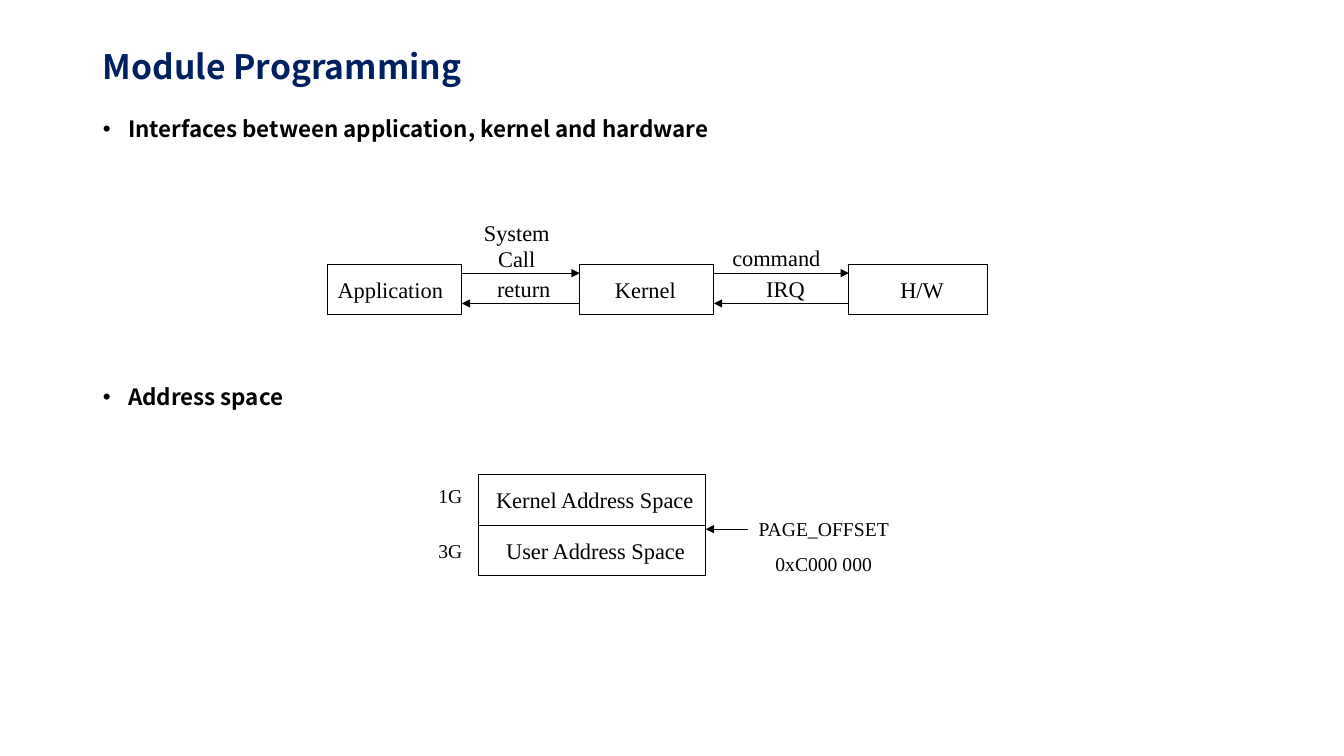
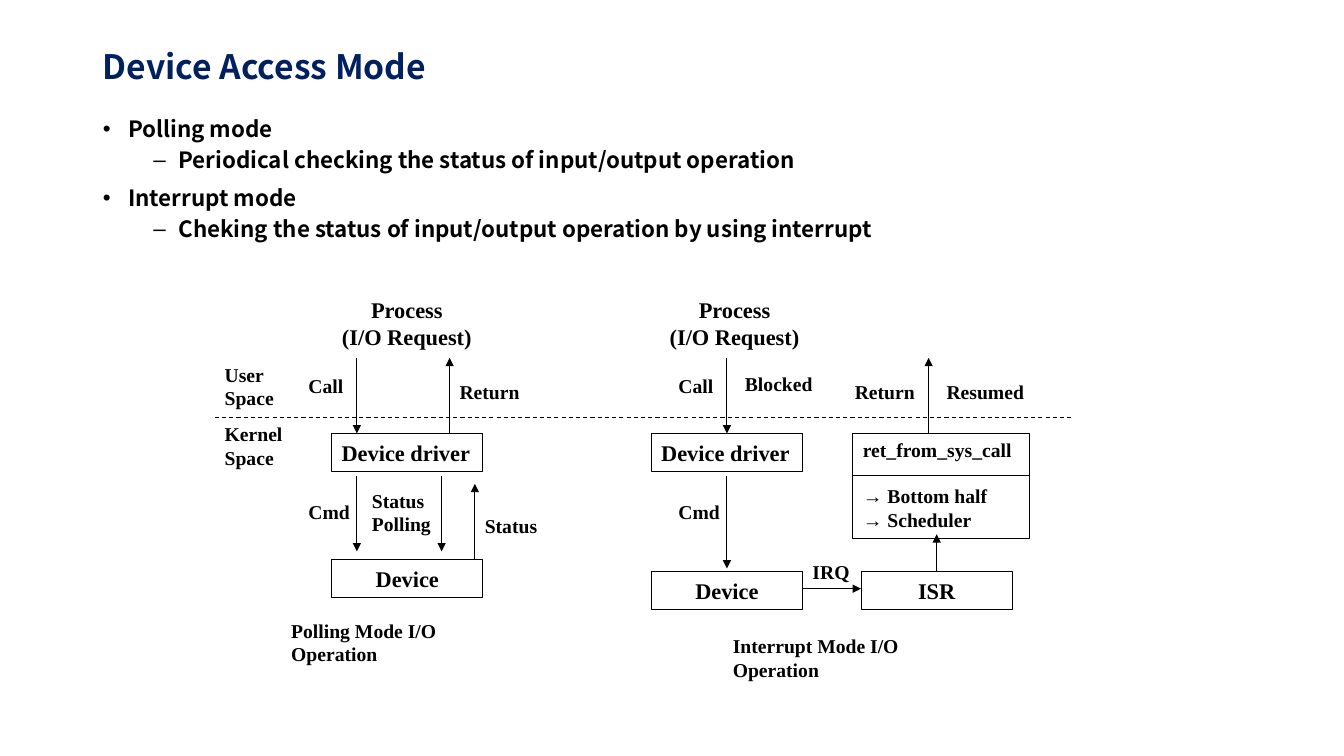
from lxml import etree
from pptx import Presentation
from pptx.dml.color import RGBColor
from pptx.enum.dml import MSO_LINE
from pptx.enum.shapes import MSO_CONNECTOR, MSO_SHAPE
from pptx.enum.text import MSO_ANCHOR, MSO_AUTO_SIZE, PP_ALIGN
from pptx.oxml.ns import qn
from pptx.util import Inches, Pt

NAVY = RGBColor(0x00, 0x20, 0x60)
BLACK = RGBColor(0x00, 0x00, 0x00)
HEADING_FONT = "Noto Sans CJK KR"
DIAGRAM_FONT = "Times New Roman"
LINE_WIDTH = Pt(0.75)
LEFT, CENTER = PP_ALIGN.LEFT, PP_ALIGN.CENTER
TOP, MIDDLE = MSO_ANCHOR.TOP, MSO_ANCHOR.MIDDLE
NO_AUTOFIT = MSO_AUTO_SIZE.NONE
DASH = MSO_LINE.DASH
STRAIGHT = MSO_CONNECTOR.STRAIGHT
RECTANGLE = MSO_SHAPE.RECTANGLE
TITLE_AND_CONTENT = 1

CENTERED = dict(align=CENTER, inset=0)
SMALL = dict(size=14)
BOLD = dict(bold=True)
SMALL_BOLD = SMALL | BOLD
BOLD_CENTERED = BOLD | CENTERED


def write(frame, text, size=16, bold=False, font=DIAGRAM_FONT, color=BLACK,
          align=LEFT, anchor=TOP, inset=0.1, gaps=(), spacing=None):
    """Fill a text frame, one paragraph per line; gaps are points before each."""
    frame.word_wrap = True
    frame.auto_size = NO_AUTOFIT
    frame.vertical_anchor = anchor
    frame.margin_left = Inches(inset)
    frame.margin_right = 0
    frame.text = text
    for index, para in enumerate(frame.paragraphs):
        para.alignment = align
        para.space_before = Pt(gaps[index] if gaps else 0)
        if spacing:
            para.line_spacing = spacing
        for span in para.runs:
            span.font.name = font
            span.font.size = Pt(size)
            span.font.bold = bold
            span.font.color.rgb = color


def draw_line(page, start, end, arrow=True, dash=None):
    connector = page.shapes.add_connector(
        STRAIGHT, *(Inches(value) for value in start + end))
    connector.line.color.rgb = BLACK
    connector.line.width = LINE_WIDTH
    if dash:
        connector.line.dash_style = dash
    properties = connector.element.spPr
    if arrow:
        outline = properties.find(qn("a:ln"))
        etree.SubElement(outline, qn("a:tailEnd"), type="triangle")
    etree.SubElement(properties, qn("a:effectLst"))


# Bullets: level, text, points before.
# Boxes and labels: text, left, top, width, height, format.
module_programming = dict(
    title="Module Programming",
    bullets=[
        (0, "Interfaces between application, kernel and hardware", 10),
        (0, "Address space", 174),
    ],
    boxes=[
        ("Application", 3.25, 2.62, 1.33, 0.5, dict(anchor=MIDDLE)),
        ("Kernel", 5.75, 2.62, 1.33, 0.5, dict(anchor=MIDDLE, inset=0.35)),
        ("H/W", 8.42, 2.62, 1.37, 0.5, dict(anchor=MIDDLE, inset=0.51)),
        ("Kernel Address Space", 4.75, 4.71, 2.25, 0.5, dict(anchor=MIDDLE, inset=0.17)),
        ("User Address Space", 4.75, 5.21, 2.25, 0.5, dict(anchor=MIDDLE, inset=0.27)),
    ],
    arrows=[
        ((4.58, 2.71), (5.75, 2.71)),
        ((5.75, 3.01), (4.58, 3.01)),
        ((7.08, 2.71), (8.42, 2.71)),
        ((8.42, 3.01), (7.08, 3.01)),
        ((7.42, 5.25), (7, 5.25)),
    ],
    labels=[
        ("System\nCall", 4.67, 2.12, 0.91, 0.64, CENTERED),
        ("return", 4.83, 2.68, 0.73, 0.37, CENTERED),
        ("command", 7.16, 2.37, 1.08, 0.37, CENTERED),
        ("IRQ", 7.5, 2.68, 0.58, 0.37, CENTERED),
        ("1G", 4.25, 4.75, 0.44, 0.33, SMALL),
        ("3G", 4.25, 5.3, 0.44, 0.33, SMALL),
        ("PAGE_OFFSET\n0xC000 000", 7.42, 5.08, 1.5, 0.69,
         SMALL | CENTERED | dict(gaps=(0, 8))),
    ],
    rules=[],
)

device_access = dict(
    title="Device Access Mode",
    bullets=[
        (0, "Polling mode", 10),
        (1, "Periodical checking the status of input/output operation", 5),
        (0, "Interrupt mode", 10),
        (1, "Cheking the status of input/output operation by using interrupt", 5),
    ],
    boxes=[
        ("Device driver", 3.29, 4.3, 1.5, 0.38, BOLD | dict(anchor=MIDDLE)),
        ("Device", 3.29, 5.55, 1.5, 0.38, BOLD_CENTERED | dict(anchor=MIDDLE)),
        ("Device driver", 6.46, 4.3, 1.5, 0.38, BOLD | dict(anchor=MIDDLE)),
        ("Device", 6.46, 5.67, 1.5, 0.38, BOLD_CENTERED | dict(anchor=MIDDLE)),
        ("ISR", 8.54, 5.67, 1.5, 0.38, BOLD_CENTERED | dict(anchor=MIDDLE)),
        ("ret_from_sys_call\n→ Bottom half\n→ Scheduler", 8.46, 4.3, 1.75, 1.04,
         SMALL_BOLD | dict(gaps=(0, 16, 0))),
    ],
    arrows=[
        ((3.54, 3.55), (3.54, 4.3)),
        ((4.46, 4.3), (4.46, 3.55)),
        ((3.54, 4.72), (3.54, 5.47)),
        ((4.38, 4.72), (4.38, 5.47)),
        ((4.71, 5.55), (4.71, 4.8)),
        ((7.21, 3.55), (7.21, 4.3)),
        ((7.21, 4.72), (7.21, 5.64)),
        ((7.96, 5.84), (8.54, 5.84)),
        ((9.29, 5.67), (9.29, 5.3)),
        ((9.21, 4.3), (9.21, 3.55)),
    ],
    labels=[
        ("Process\n(I/O Request)", 3.29, 2.89, 1.49, 0.64, BOLD_CENTERED),
        ("Process\n(I/O Request)", 6.54, 2.89, 1.49, 0.64, BOLD_CENTERED),
        ("User\nSpace", 2.13, 3.55, 0.69, 0.57, SMALL_BOLD),
        ("Kernel\nSpace", 2.13, 4.14, 0.78, 0.57, SMALL_BOLD),
        ("Call", 2.96, 3.66, 0.55, 0.33, SMALL_BOLD),
        ("Return", 4.46, 3.72, 0.8, 0.33, SMALL_BOLD),
        ("Cmd", 2.96, 4.91, 0.61, 0.33, SMALL_BOLD),
        ("Status\nPolling", 3.59, 4.8, 0.79, 0.57, SMALL_BOLD),
        ("Status", 4.71, 5.05, 0.72, 0.33, SMALL_BOLD),
        ("Polling Mode I/O Operation", 2.79, 6.09, 1.9, 0.57, SMALL_BOLD),
        ("Call", 6.63, 3.66, 0.55, 0.33, SMALL_BOLD),
        ("Blocked", 7.29, 3.64, 0.87, 0.33, SMALL_BOLD),
        ("Cmd", 6.63, 4.91, 0.61, 0.33, SMALL_BOLD),
        ("IRQ", 7.96, 5.51, 0.57, 0.33, SMALL_BOLD),
        ("Return", 8.38, 3.72, 0.8, 0.33, SMALL_BOLD),
        ("Resumed", 9.29, 3.72, 0.97, 0.33, SMALL_BOLD),
        ("Interrupt Mode I/O Operation", 7.17, 6.24, 1.9, 0.57, SMALL_BOLD),
    ],
    rules=[
        ((2.13, 4.14), (10.63, 4.14), DASH),
        ((8.46, 4.72), (10.21, 4.72), None),
    ],
)

deck = Presentation()
deck.slide_width = Inches(13.33)
deck.slide_height = Inches(7.5)
layout = deck.slide_layouts[TITLE_AND_CONTENT]

# Both slides inherit these places from the layout.
for holder, top, height in zip(layout.placeholders, (0.45, 1.12), (0.47, 5.64)):
    holder.left, holder.top = Inches(0.92), Inches(top)
    holder.width, holder.height = Inches(11.5), Inches(height)

for content in (module_programming, device_access):
    page = deck.slides.add_slide(layout)
    write(page.shapes.title.text_frame, content["title"], size=24, bold=True,
          font=HEADING_FONT, color=NAVY, anchor=MIDDLE, spacing=0.9)

    levels, lines, gaps = zip(*content["bullets"])
    body = page.placeholders[1].text_frame
    write(body, "\n".join(lines), bold=True, font=HEADING_FONT, gaps=gaps, spacing=0.9)
    for para, level in zip(body.paragraphs, levels):
        para.level = level
        indents = para._p.get_or_add_pPr()
        indents.set("marL", str(Inches(0.25 + 0.5 * level)))
        indents.set("indent", str(Inches(-0.25)))

    for text, left, top, width, height, style in content["boxes"]:
        box = page.shapes.add_shape(
            RECTANGLE, Inches(left), Inches(top), Inches(width), Inches(height))
        box.shadow.inherit = False
        box.fill.background()
        box.line.color.rgb = BLACK
        box.line.width = LINE_WIDTH
        write(box.text_frame, text, **style)

    for start, end in content["arrows"]:
        draw_line(page, start, end)
    for start, end, dash in content["rules"]:
        draw_line(page, start, end, arrow=False, dash=dash)

    for text, left, top, width, height, style in content["labels"]:
        label = page.shapes.add_textbox(
            Inches(left), Inches(top), Inches(width), Inches(height))
        write(label.text_frame, text, **style)

deck.save("out.pptx")
